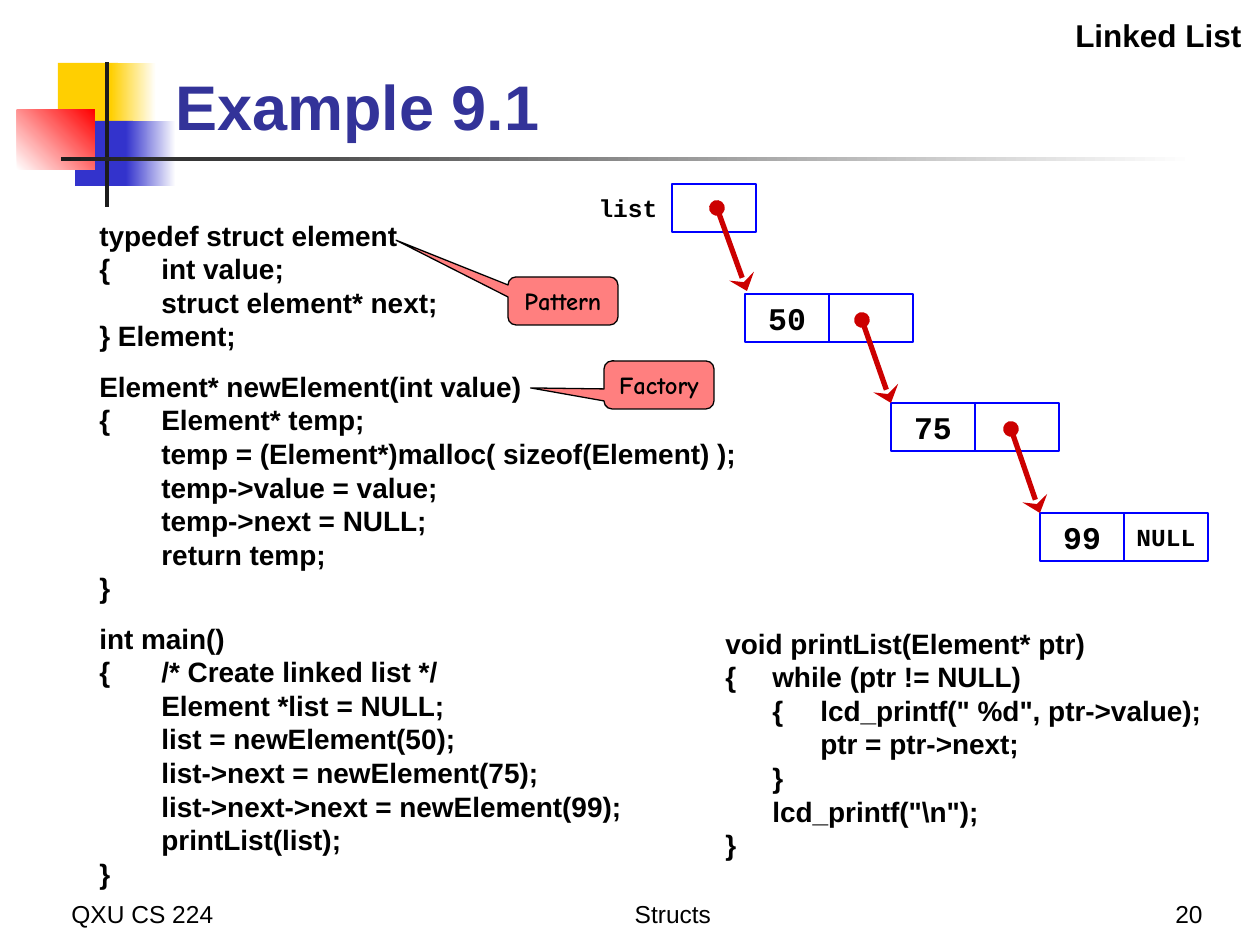
from dataclasses import dataclass

from lxml.etree import SubElement
from pptx import Presentation
from pptx.dml.color import RGBColor
from pptx.enum.shapes import MSO_CONNECTOR, MSO_SHAPE
from pptx.enum.text import MSO_ANCHOR, PP_ALIGN
from pptx.oxml.ns import qn
from pptx.util import Pt

SCALE = 914400 // 126


@dataclass(frozen=True)
class Theme:
    gold: str = "FFCF01"
    blue: str = "3333CC"
    red: str = "FF0000"
    dark: str = "1C1C1C"
    white: str = "FFFFFF"
    black: str = "000000"
    title: str = "333399"
    edge: str = "0000FF"
    arrow: str = "CC0000"
    sans: str = "Arial"
    mono: str = "Courier New"
    hand: str = "Comic Neue"
    head: int = 36
    large: int = 18
    code: int = 16
    small: int = 14
    lead: float = 1.2


@dataclass(frozen=True)
class Block:
    box: tuple
    start: str
    end: str = ""
    angle: int = 0


@dataclass(frozen=True)
class Node:
    value: str
    x: int
    y: int
    tail: tuple
    tip: tuple


@dataclass(frozen=True)
class Note:
    text: str
    x: int
    y: int
    point: tuple


T = Theme()
CELL_W, CELL_H = 84, 48
LEFT, MID, RIGHT = PP_ALIGN.LEFT, PP_ALIGN.CENTER, PP_ALIGN.RIGHT
TOP, CENTER, BASE = MSO_ANCHOR.TOP, MSO_ANCHOR.MIDDLE, MSO_ANCHOR.BOTTOM

BLOCKS = [
    Block((58, 63, 60, 65), T.gold),
    Block((111, 63, 45, 65), T.gold, T.white),
    Block((75, 121, 58, 65), T.blue),
    Block((126, 121, 50, 65), T.blue, T.white),
    Block((17, 110, 78, 60), T.white, T.red, 45),
    Block((105, 62, 4, 145), T.dark),
    Block((61, 157, 1134, 4), T.dark, T.white),
]
NODES = [
    Node("50", 745, 294, (717, 208), (747, 291)),
    Node("75", 891, 403, (862, 320), (891, 403)),
    Node("99", 1040, 513, (1011, 429), (1040, 513)),
]
NOTES = [
    Note("Pattern", 508, 277, (-1.518, -1.266)),
    Note("Factory", 604, 361, (-1.168, 0.063)),
]
MAIN = [
    """typedef struct element
{\tint value;
\tstruct element* next;
} Element;""",
    """Element* newElement(int value)
{\tElement* temp;
\ttemp = (Element*)malloc( sizeof(Element) );
\ttemp->value = value;
\ttemp->next = NULL;
\treturn temp;
}""",
    """int main()
{\t/* Create linked list */
\tElement *list = NULL;
\tlist = newElement(50);
\tlist->next = newElement(75);
\tlist->next->next = newElement(99);
\tprintList(list);
}""",
]
PRINT = ["""void printList(Element* ptr)
{\twhile (ptr != NULL)
\t{\tlcd_printf(" %d", ptr->value);
\t\tptr = ptr->next;
\t}
\tlcd_printf("\\n");
}"""]

deck = Presentation()
deck.slide_width, deck.slide_height = 1260 * SCALE, 945 * SCALE
slide = deck.slides.add_slide(deck.slide_layouts[6])
shapes = slide.shapes


def px(*nums: int) -> list:
    return [n * SCALE for n in nums]


def rgb(code: str) -> RGBColor:
    return RGBColor.from_string(code)


def write(shape, parts: list, *, size: int = T.small, font: str = T.sans,
          color: str = T.black, bold: bool = True, align=LEFT, anchor=TOP,
          wrap: bool = True, tabs: tuple = ()) -> None:
    frame = shape.text_frame
    frame.word_wrap = wrap
    frame.vertical_anchor = anchor
    rows = [(row, k and not i) for k, part in enumerate(parts)
            for i, row in enumerate(part.split("\n"))]
    for i, (row, gap) in enumerate(rows):
        para = frame.add_paragraph() if i else frame.paragraphs[0]
        para.alignment = align
        para.line_spacing = Pt(size * T.lead)
        if gap:
            para.space_before = Pt(size * T.lead / 2)
        if tabs:
            stops = SubElement(para._p.get_or_add_pPr(), qn("a:tabLst"))
            for stop in tabs:
                SubElement(stops, qn("a:tab"), pos=str(stop * SCALE), algn="l")
        run = para.add_run()
        run.text = row
        run.font.size, run.font.name, run.font.bold = Pt(size), font, bold
        run.font.color.rgb = rgb(color)


def label(box: tuple, *parts: str, **style) -> None:
    write(shapes.add_textbox(*px(*box)), list(parts), **style)


def block(item: Block) -> None:
    shape = shapes.add_shape(MSO_SHAPE.RECTANGLE, *px(*item.box))
    shape.shadow.inherit = False
    shape.line.fill.background()
    if item.end:
        shape.fill.gradient()
        shape.fill.gradient_angle = item.angle
        for stop, tone in zip(shape.fill.gradient_stops, (item.start, item.end)):
            stop.color.rgb = rgb(tone)
    else:
        shape.fill.solid()
        shape.fill.fore_color.rgb = rgb(item.start)


def cell(x: int, y: int, text: str = "", size: int = T.large) -> None:
    shape = shapes.add_shape(MSO_SHAPE.RECTANGLE, *px(x, y, CELL_W, CELL_H))
    shape.shadow.inherit = False
    shape.fill.background()
    shape.line.color.rgb, shape.line.width = rgb(T.edge), Pt(1)
    if text:
        write(shape, [text], size=size, font=T.mono, align=MID,
              anchor=CENTER, wrap=False)


def arrow(tail: tuple, tip: tuple) -> None:
    link = shapes.add_connector(MSO_CONNECTOR.STRAIGHT, *px(*tail, *tip))
    link.line.color.rgb, link.line.width = rgb(T.arrow), Pt(3)
    line = link.line._get_or_add_ln()
    SubElement(line, qn("a:headEnd"), type="oval")
    SubElement(line, qn("a:tailEnd"), type="stealth", w="lg")
    SubElement(link._element.spPr, qn("a:effectLst"))


def note(item: Note) -> None:
    shape = shapes.add_shape(MSO_SHAPE.ROUNDED_RECTANGULAR_CALLOUT,
                             *px(item.x, item.y, 110, 48))
    for i, value in enumerate((*item.point, 0.167)):
        shape.adjustments[i] = value
    shape.shadow.inherit = False
    shape.fill.solid()
    shape.fill.fore_color.rgb = rgb(T.red)
    tone = shape.fill._xPr.find(".//" + qn("a:srgbClr"))
    SubElement(tone, qn("a:alpha"), val="50000")
    shape.line.color.rgb, shape.line.width = rgb(T.black), Pt(0.75)
    write(shape, [item.text], font=T.hand, align=MID, anchor=CENTER, wrap=False)


# Corner blocks and rules
for item in BLOCKS:
    block(item)

# Title, header and footer
label((163, 29, 1074, 120), "Example 9.1", size=T.head, color=T.title, anchor=BASE)
label((747, 10, 507, 50), "Linked List", size=T.large, align=RIGHT)
for x, wide, text, side in [(59, 262, "QXU CS 224", LEFT),
                            (350, 646, "Structs", MID), (953, 262, "20", RIGHT)]:
    label((x, 872, wide, 63), text, bold=False, align=side, anchor=BASE)

# Code
label((87, 212, 921, 692), *MAIN, size=T.code, tabs=(62,))
label((713, 620, 518, 251), *PRINT, size=T.code, tabs=(47, 95))

# Linked list
label((586, 187, 84, 42), "list", font=T.mono, align=MID, anchor=CENTER, wrap=False)
cell(672, 184)
for node in NODES:
    cell(node.x, node.y, node.value)
    last = node is NODES[-1]
    cell(node.x + CELL_W, node.y, "NULL" if last else "", T.small)
    arrow(node.tail, node.tip)

# Callouts
for item in NOTES:
    note(item)

deck.save("out.pptx")
